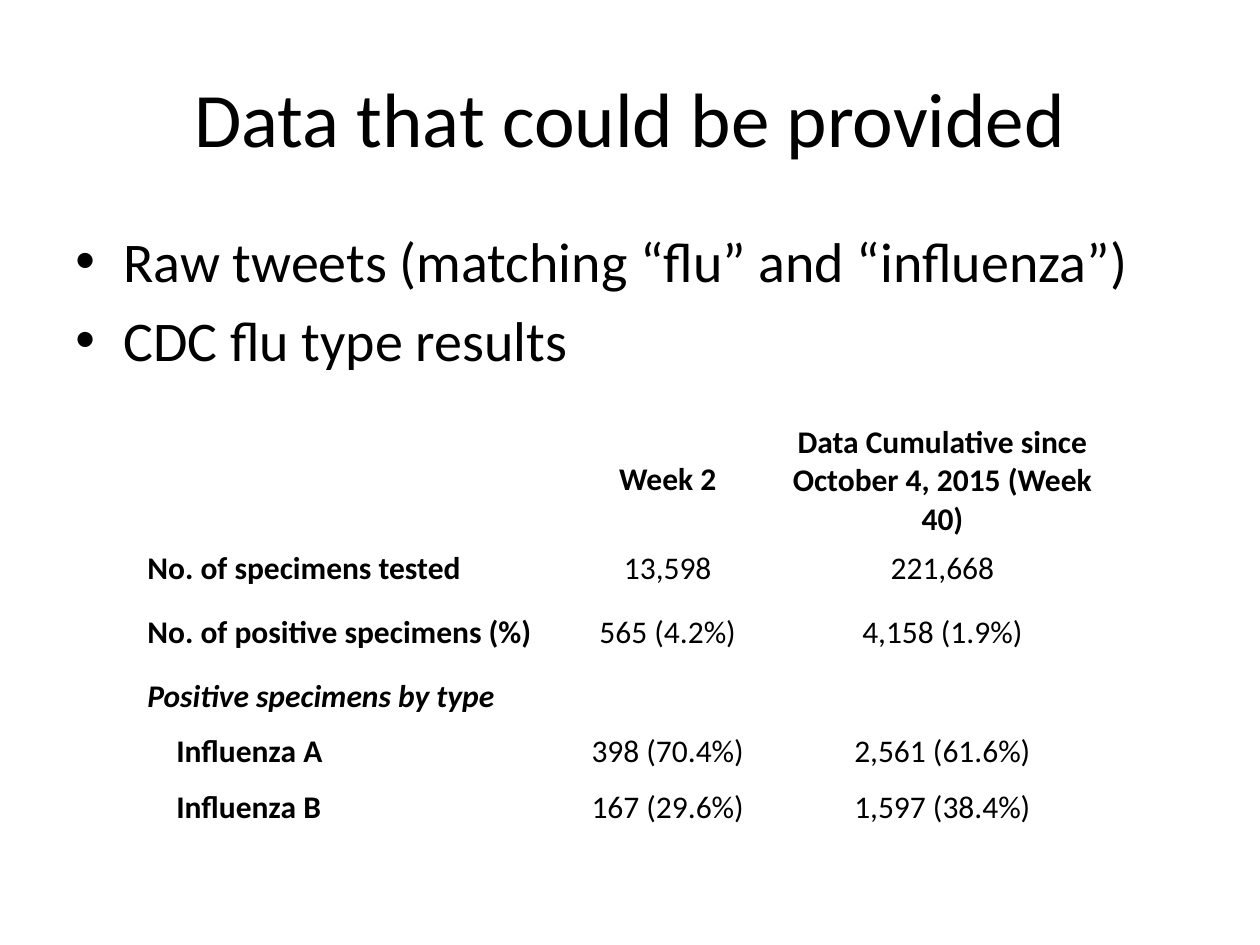
"""Builds a slide listing available flu data with a table of specimen results."""
from dataclasses import dataclass

from lxml import etree
from pptx import Presentation
from pptx.dml.color import RGBColor
from pptx.enum.text import MSO_ANCHOR, PP_ALIGN
from pptx.oxml.ns import qn
from pptx.util import Inches, Pt

LEFT, CENTER = PP_ALIGN.LEFT, PP_ALIGN.CENTER
TOP, MIDDLE = MSO_ANCHOR.TOP, MSO_ANCHOR.MIDDLE
WIDTH, HEIGHT = Inches(10), Inches(7.5)


@dataclass(frozen=True)
class Theme:
    font: str = "Calibri"
    ink: RGBColor = RGBColor(0, 0, 0)
    title: int = 44
    body: int = 32
    table: int = 18


class SlideBuilder:
    def __init__(self, slide, theme):
        self.slide = slide
        self.theme = theme

    def place(self, left, top, width, height):
        return (round(left * WIDTH), round(top * HEIGHT),
                round(width * WIDTH), round(height * HEIGHT))

    def set_text(self, paragraph, text, size, align=LEFT, **emphasis):
        paragraph.text = text
        paragraph.alignment = align
        formats = {"name": self.theme.font, "size": Pt(size), **emphasis}
        for run in paragraph.runs:
            run.font.color.rgb = self.theme.ink
            for key, value in formats.items():
                setattr(run.font, key, value)

    def indent(self, paragraph, margin, hanging=0):
        properties = paragraph._p.get_or_add_pPr()
        properties.set("marL", str(Inches(margin)))
        properties.set("indent", str(-Inches(hanging)))
        return properties

    def frame(self, area, anchor):
        frame = self.slide.shapes.add_textbox(*self.place(*area)).text_frame
        frame.word_wrap = True
        frame.vertical_anchor = anchor
        return frame

    def title(self, text, area):
        heading = self.frame(area, MIDDLE).paragraphs[0]
        self.set_text(heading, text, self.theme.title, CENTER)

    def bullets(self, items, area):
        frame = self.frame(area, TOP)
        for index, item in enumerate(items):
            paragraph = frame.add_paragraph() if index else frame.paragraphs[0]
            self.set_text(paragraph, item, self.theme.body)
            paragraph.space_before = Pt(6.4)
            properties = self.indent(paragraph, 0.38, 0.38)
            font = etree.SubElement(properties, qn("a:buFont"))
            font.set("typeface", "Arial")
            mark = etree.SubElement(properties, qn("a:buChar"))
            mark.set("char", "•")

    def table(self, rows, area, widths, heights, italic_row, nested_rows):
        table = self.slide.shapes.add_table(
            len(rows), len(widths), *self.place(*area)).table
        table.first_row = table.horz_banding = False
        for column, width in zip(table.columns, widths):
            column.width = Inches(width)
        for row, height in zip(table.rows, heights):
            row.height = Inches(height)
        layout = {"vertical_anchor": MIDDLE,
                  "margin_left": Inches(0.07), "margin_right": Inches(0.07),
                  "margin_top": Inches(0.03), "margin_bottom": Inches(0.03)}
        for r, values in enumerate(rows):
            for c, value in enumerate(values):
                cell = table.cell(r, c)
                cell.fill.background()
                for key, setting in layout.items():
                    setattr(cell, key, setting)
                paragraph = cell.text_frame.paragraphs[0]
                self.set_text(paragraph, value, self.theme.table,
                              CENTER if c else LEFT,
                              bold=r == 0 or c == 0, italic=r == italic_row)
                if c == 0 and r in nested_rows:
                    self.indent(paragraph, 0.23)


def main():
    deck = Presentation()
    deck.slide_width, deck.slide_height = WIDTH, HEIGHT
    builder = SlideBuilder(deck.slides.add_slide(deck.slide_layouts[6]), Theme())
    builder.title("Data that could be provided", (0.05, 0.04, 0.9, 1 / 6))
    builder.bullets(["Raw tweets (matching “flu” and “influenza”)",
                     "CDC flu type results"], (0.05, 1.75 / 7.5, 0.9, 0.2))
    specimens = [
        ("", "Week 2", "Data Cumulative since\vOctober 4, 2015 (Week 40)"),
        ("No. of specimens tested", "13,598", "221,668"),
        ("No. of positive specimens (%)", "565 (4.2%)", "4,158 (1.9%)"),
        ("Positive specimens by type", "", ""),
        ("Influenza A", "398 (70.4%)", "2,561 (61.6%)"),
        ("Influenza B", "167 (29.6%)", "1,597 (38.4%)"),
    ]
    builder.table(specimens, (0.11, 3.33 / 7.5, 0.78, 3.32 / 7.5),
                  widths=(3.47, 1.46, 2.9),
                  heights=(0.84, 0.44, 0.58, 0.44, 0.44, 0.44),
                  italic_row=3, nested_rows=(4, 5))
    deck.save("out.pptx")


main()
